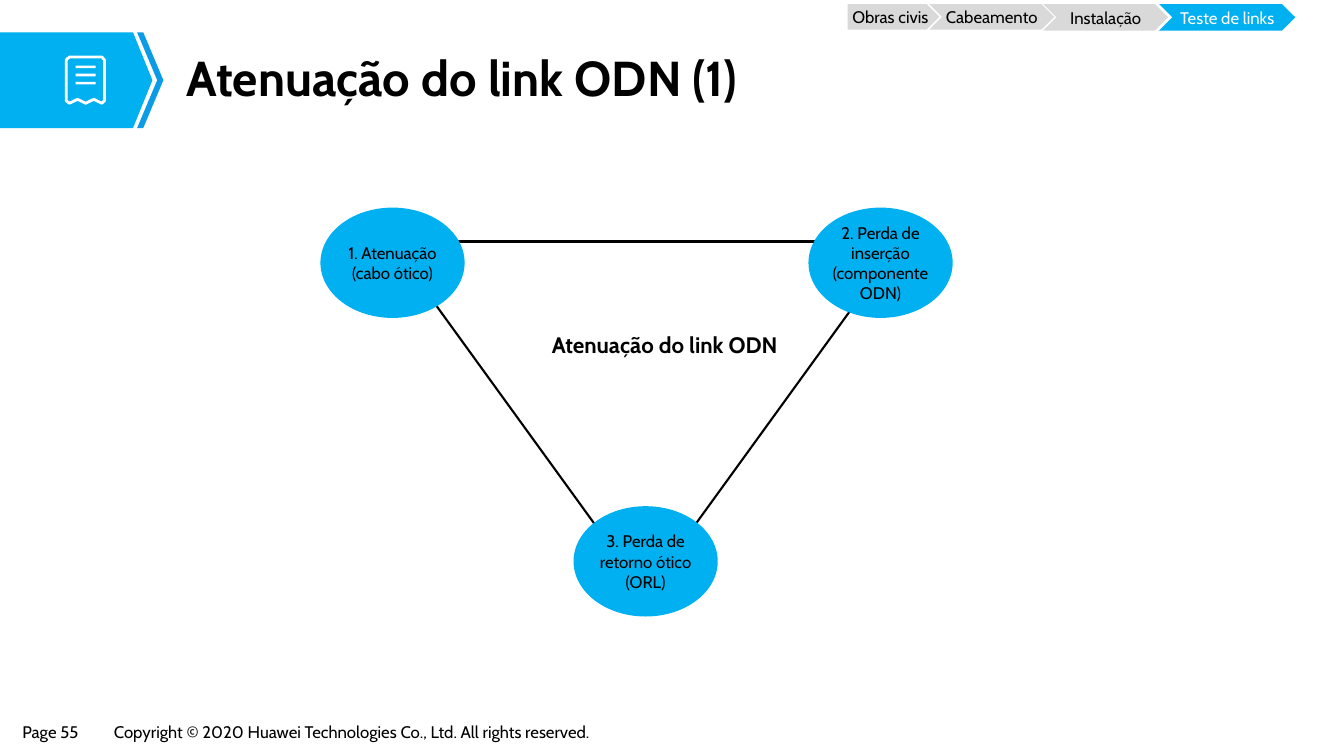
from dataclasses import dataclass

from lxml import etree
from pptx import Presentation
from pptx import util as u
from pptx.dml.color import RGBColor
from pptx.enum import shapes, text
from pptx.oxml.ns import qn

FONT = "Cabin"
BLACK, WHITE = "000000", "FFFFFF"
BLUE, DARK_BLUE, GREY = "00B0F0", "0B9CE5", "D9D9D9"
CENTER = text.PP_ALIGN.CENTER
ELLIPSE_SIZE = (103, 78.8)


@dataclass
class Box:
    left: float
    top: float
    width: float
    height: float

    def lengths(self) -> list:
        return [u.Pt(value) for value in (self.left, self.top, self.width, self.height)]


@dataclass
class Label:
    words: str
    size: float = 12
    bold: bool = False
    color: str = BLACK
    align: text.PP_ALIGN = CENTER
    insets: tuple = (0, 0)
    wrap: bool = True
    spacing: float = 1.0


@dataclass
class Step:
    words: str
    box: Box
    preset: shapes.MSO_SHAPE = shapes.MSO_SHAPE.CHEVRON
    fill: str = GREY
    color: str = BLACK


@dataclass
class Factor:
    words: str
    center_x: float
    center_y: float


def rgb(value: str) -> RGBColor:
    return RGBColor.from_string(value)


def apply(target, values: dict) -> None:
    for name, value in values.items():
        setattr(target, name, value)


def paint(shape, color: str) -> None:
    shape.shadow.inherit = False
    shape.fill.solid()
    shape.fill.fore_color.rgb = rgb(color)
    shape.line.fill.background()


def write(shape, label: Label) -> None:
    side, edge = (u.Pt(value) for value in label.insets)
    frame = shape.text_frame
    apply(frame, {"word_wrap": label.wrap, "vertical_anchor": text.MSO_ANCHOR.MIDDLE,
                  "margin_left": side, "margin_right": side,
                  "margin_top": edge, "margin_bottom": edge})
    paragraph = frame.paragraphs[0]
    apply(paragraph, {"text": label.words, "alignment": label.align,
                      "line_spacing": label.spacing})
    font = paragraph.runs[0].font
    apply(font, {"name": FONT, "size": u.Pt(label.size), "bold": label.bold})
    font.color.rgb = rgb(label.color)


def add_text(slide, box: Box, label: Label) -> None:
    write(slide.shapes.add_textbox(*box.lengths()), label)


def add_preset(slide, preset: shapes.MSO_SHAPE, box: Box, color: str):
    shape = slide.shapes.add_shape(preset, *box.lengths())
    paint(shape, color)
    return shape


def add_outline(slide, points: list, color: str):
    corners = [(u.Pt(x), u.Pt(y)) for x, y in points]
    builder = slide.shapes.build_freeform(*corners[0], scale=1.0)
    builder.add_line_segments(corners[1:], close=True)
    shape = builder.convert_to_shape()
    paint(shape, color)
    return shape


def add_line(slide, start: tuple, end: tuple) -> None:
    ends = [u.Pt(value) for value in (*start, *end)]
    connector = slide.shapes.add_connector(shapes.MSO_CONNECTOR.STRAIGHT, *ends)
    connector.line.width = u.Pt(1.5)
    connector.line.color.rgb = rgb(BLACK)
    properties = connector._element.find(qn("p:spPr"))
    etree.SubElement(properties, qn("a:effectLst"))


STEPS = [
    Step("Cabeamento", Box(663.8, 2.9, 89.3, 18.3)),
    Step("Instalação", Box(745.2, 2.9, 89.3, 18.9)),
    Step("Teste de links", Box(828, 2.9, 97.2, 18.9), fill=BLUE, color=WHITE),
    Step("Obras civis", Box(605.5, 2.9, 65.5, 18.3), shapes.MSO_SHAPE.PENTAGON),
]

FACTORS = [
    Factor("1. Atenuação (cabo ótico)", 280.4, 187.7),
    Factor("2. Perda de inserção (componente ODN)", 629, 187.7),
    Factor("3. Perda de retorno ótico (ORL)", 461.2, 401),
]


def add_banner(slide) -> None:
    top, middle, bottom = 23.04, 57.3, 91.5
    add_outline(slide, [(0, top), (95, top), (108.9, middle), (95, bottom), (0, bottom)], BLUE)
    add_outline(slide, [(102.3, top), (97.9, top), (112.3, middle), (97.9, bottom),
                        (102.3, bottom), (116.7, middle)], DARK_BLUE)

    # Receipt icon: outline with a zigzag foot, then three text bars
    receipt = add_outline(slide, [
        (49.5, 40.8), (72.8, 40.8), (74.6, 42.8), (74.6, 72), (72.8, 73.8), (67, 71),
        (61.2, 73.8), (55.4, 71), (49.5, 73.8), (47.3, 72), (47.3, 42.8)], BLUE)
    receipt.line.width = u.Pt(2)
    receipt.line.color.rgb = rgb(WHITE)
    for row in range(3):
        bar = Box(54, 46.8 + 5.8 * row, 14.4, 1.9)
        add_preset(slide, shapes.MSO_SHAPE.ROUNDED_RECTANGLE, bar, WHITE)

    add_text(slide, Box(125.3, 32.4, 774, 50.4),
             Label("Atenuação do link ODN (1)", 35, True, align=text.PP_ALIGN.LEFT,
                   insets=(7.9, 4.3), spacing=0.9))


def add_footer(slide) -> None:
    footer = [
        ("Page 55", 9.4, 58.3),
        ("Copyright © 2020 Huawei Technologies Co., Ltd. All rights reserved.", 74.9, 389.5),
    ]
    for words, left, width in footer:
        add_text(slide, Box(left, 511.9, width, 20.9),
                 Label(words, align=text.PP_ALIGN.LEFT, insets=(6.5, 3.2), wrap=False))


def add_triangle(slide) -> None:
    # Sides go behind the ellipses
    bottom_tip = (460.8, 424.1)
    for start, end in [(bottom_tip, (284.4, 180.7)), (bottom_tip, (637.2, 180.7)),
                       ((654.5, 172.5), (267.1, 172.5))]:
        add_line(slide, start, end)
    add_text(slide, Box(375.8, 212.4, 198, 67.7),
             Label("Atenuação do link ODN", 16, True, insets=(7.2, 3.6)))

    width, height = ELLIPSE_SIZE
    for factor in FACTORS:
        box = Box(factor.center_x - width / 2, factor.center_y - height / 2, width, height)
        write(add_preset(slide, shapes.MSO_SHAPE.OVAL, box, BLUE), Label(factor.words))


def add_steps(slide) -> None:
    for step in STEPS:
        shape = add_preset(slide, step.preset, step.box, step.fill)
        write(shape, Label(step.words, color=step.color))


def main() -> None:
    presentation = Presentation()
    apply(presentation, {"slide_width": u.Pt(960), "slide_height": u.Pt(540)})
    slide = presentation.slides.add_slide(presentation.slide_layouts[6])
    add_footer(slide)
    add_banner(slide)
    add_triangle(slide)
    add_steps(slide)
    presentation.save("out.pptx")


if __name__ == "__main__":
    main()
